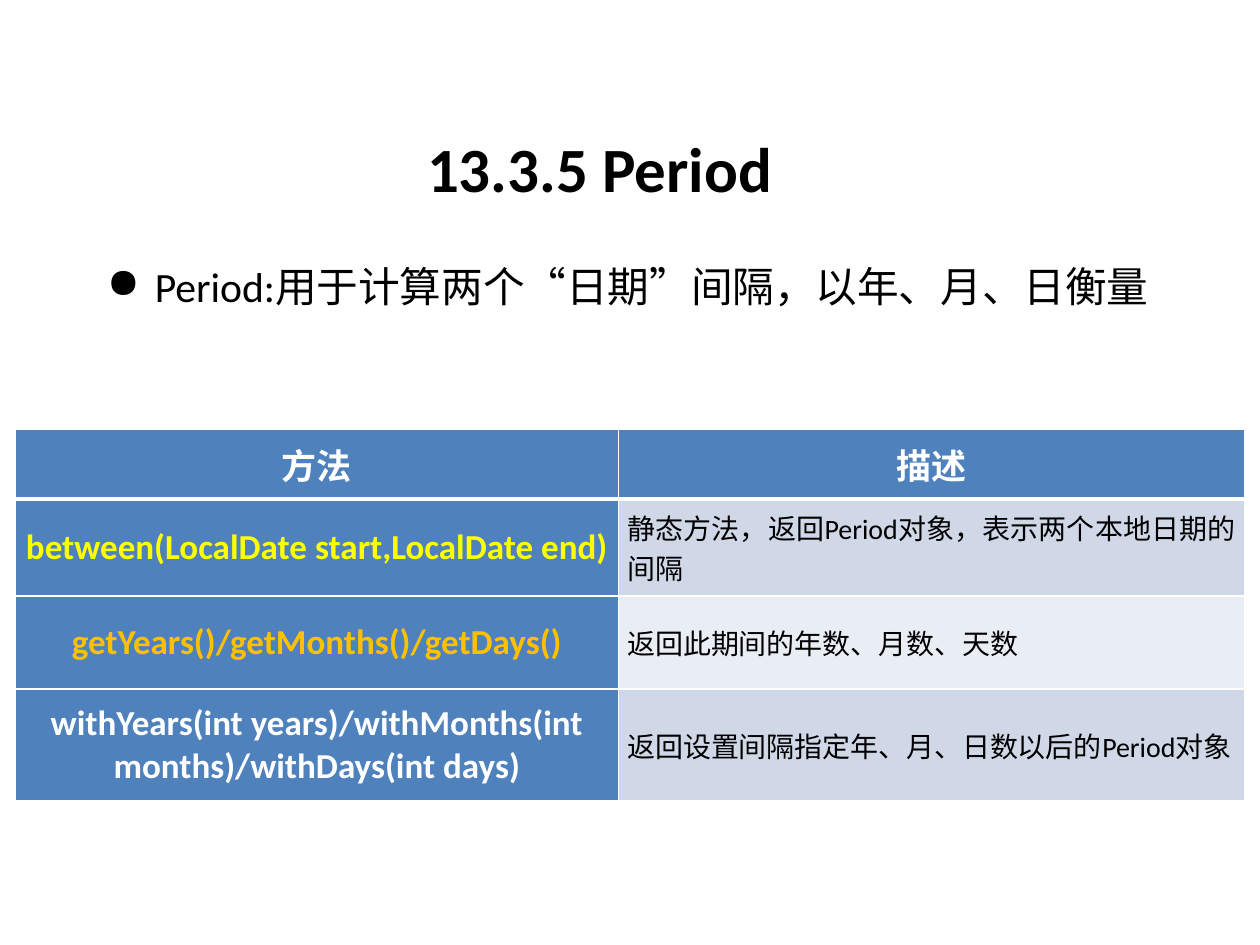
from lxml.etree import SubElement
from pptx import Presentation
from pptx.dml.color import RGBColor
from pptx.enum.text import MSO_ANCHOR as Anchor, PP_ALIGN as Align
from pptx.oxml.ns import qn
from pptx.util import Inches, Pt

COLORS = {
    "black": "000000", "white": "FFFFFF", "blue": "4F81BD",
    "yellow": "FFFF00", "orange": "FFC000",
    "band_dark": "D0D8E8", "band_light": "E9EDF4",
}


def format_text(paragraph, size, color, bold=False, align=Align.LEFT):
    paragraph.alignment = align
    for run in paragraph.runs:
        run.font.name = "Calibri"
        run.font.size = Pt(size)
        run.font.bold = bold
        run.font.color.rgb = RGBColor.from_string(COLORS[color])


def add_border(cell, side, width):
    line = SubElement(cell._tc.get_or_add_tcPr(), qn(f"a:ln{side}"), w=str(Pt(width)))
    fill = SubElement(line, qn("a:solidFill"))
    SubElement(fill, qn("a:srgbClr"), val=COLORS["white"])


presentation = Presentation()
presentation.slide_width = Inches(10)
presentation.slide_height = Inches(7.5)
slide = presentation.slides.add_slide(presentation.slide_layouts[6])

title = slide.shapes.add_textbox(Inches(0.26), Inches(0.86), Inches(9), Inches(0.94))
title.text_frame.word_wrap = True
title.text_frame.vertical_anchor = Anchor.MIDDLE
title.text_frame.text = "13.3.5 Period"
format_text(title.text_frame.paragraphs[0], 36, "black", True, Align.CENTER)

body = slide.shapes.add_textbox(Inches(0.75), Inches(1.86), Inches(8.58), Inches(0.79))
body.text_frame.word_wrap = True
body.text_frame.text = "Period:用于计算两个“日期”间隔，以年、月、日衡量"
paragraph = body.text_frame.paragraphs[0]
format_text(paragraph, 23.8, "black")
paragraph.line_spacing = 1.4
paragraph.space_before = Pt(4.8)
properties = paragraph._p.get_or_add_pPr()
properties.set("marL", str(Inches(0.38)))
properties.set("indent", str(-Inches(0.38)))
SubElement(properties, qn("a:buChar"), char="●")

rows = [
    ("方法", "描述", "white", 0.55),
    ("between(LocalDate start,LocalDate end)",
     "静态方法，返回Period对象，表示两个本地日期的间隔", "yellow", 0.77),
    ("getYears()/getMonths()/getDays()",
     "返回此期间的年数、月数、天数", "orange", 0.74),
    ("withYears(int years)/withMonths(int months)/withDays(int days)",
     "返回设置间隔指定年、月、日数以后的Period对象", "white", 0.89),
]
table = slide.shapes.add_table(
    len(rows), 2, Inches(0.12), Inches(3.41), Inches(9.76), Inches(2.95)
).table
for column, width in zip(table.columns, (4.79, 4.97)):
    column.width = Inches(width)

for row_index, (method, description, method_color, height) in enumerate(rows):
    table.rows[row_index].height = Inches(height)
    for column_index, text in enumerate((method, description)):
        cell = table.cell(row_index, column_index)
        cell.text = text
        cell.vertical_anchor = Anchor.MIDDLE
        cell.margin_left = cell.margin_right = Inches(0.07)
        cell.margin_top = cell.margin_bottom = 0
        is_description = row_index > 0 and column_index == 1
        if is_description:
            fill_color = "band_dark" if row_index % 2 else "band_light"
            format_text(cell.text_frame.paragraphs[0], 16, "black", False, Align.JUSTIFY)
        else:
            fill_color = "blue"
            format_text(cell.text_frame.paragraphs[0], 20, method_color, True, Align.CENTER)
        top = 3 if row_index == 1 else 1
        bottom = 3 if row_index == 0 else 1
        for side, width in (("L", 1), ("R", 1), ("T", top), ("B", bottom)):
            add_border(cell, side, width)
        cell.fill.solid()
        cell.fill.fore_color.rgb = RGBColor.from_string(COLORS[fill_color])

presentation.save("out.pptx")
